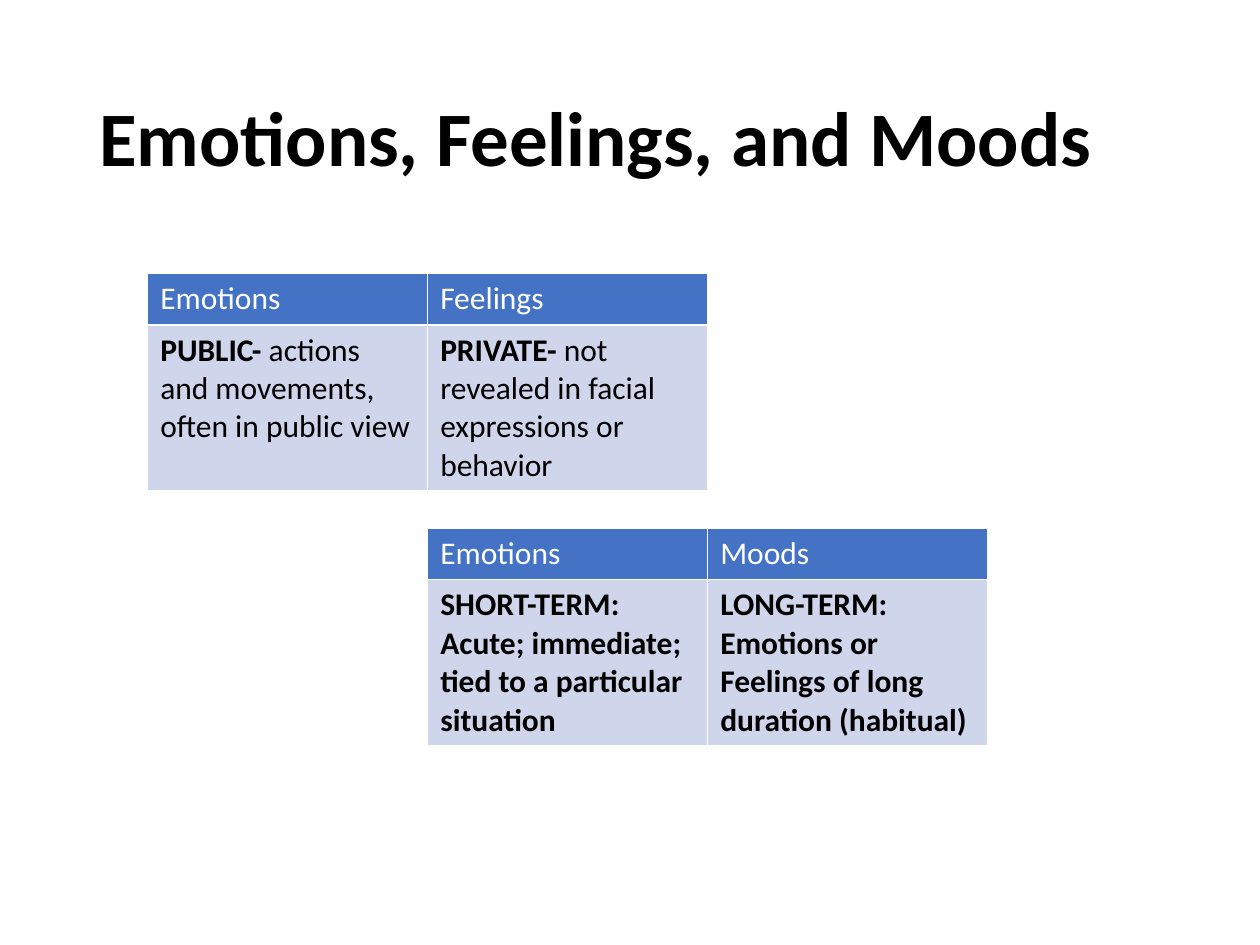
"""Build the slide that compares emotions with feelings and moods."""
from dataclasses import dataclass

from lxml import etree
from pptx import Presentation
from pptx.dml.color import RGBColor
from pptx.enum.text import MSO_ANCHOR, MSO_AUTO_SIZE, PP_ALIGN
from pptx.oxml.ns import qn
from pptx.util import Pt

LEFT = PP_ALIGN.LEFT
MIDDLE = MSO_ANCHOR.MIDDLE
NO_FIT = MSO_AUTO_SIZE.NONE
TITLE_ONLY = 5
FONT = "Calibri"
BLACK, WHITE, BLUE, PALE = "000000", "FFFFFF", "4472C4", "CFD5EA"
COLUMN_WIDTH = 160
ROW_HEIGHTS = (29.2, 94)


@dataclass(frozen=True)
class Span:
    """A stretch of text with one weight."""
    text: str
    bold: bool = False


@dataclass(frozen=True)
class Comparison:
    """A table of headings over their descriptions."""
    left: float
    top: float
    headings: tuple[str, ...]
    descriptions: tuple[tuple[Span, ...], ...]


COMPARISONS = (
    Comparison(84.4, 156.4, ("Emotions", "Feelings"), (
        (Span("PUBLIC- ", True), Span("actions and movements, often in public view")),
        (Span("PRIVATE- ", True), Span("not revealed in facial expressions or behavior")),
    )),
    Comparison(244.4, 302, ("Emotions", "Moods"), (
        (Span("SHORT-TERM: Acute; immediate; tied to a particular situation", True),),
        (Span("LONG-TERM: Emotions or Feelings of long duration (habitual)", True),),
    )),
)


def rgb(color: str) -> RGBColor:
    """Turn a hex string into a colour."""
    return RGBColor.from_string(color)


def set_values(target, values: dict) -> None:
    """Set each named attribute on the target."""
    for name, value in values.items():
        setattr(target, name, value)


def write_spans(para, spans: tuple[Span, ...], size: float, color: str) -> None:
    """Write spans into a paragraph as formatted runs."""
    for span in spans:
        run = para.add_run()
        run.text = span.text
        set_values(run.font, {"name": FONT, "size": Pt(size), "bold": span.bold})
        run.font.color.rgb = rgb(color)


def add_borders(cell, color: str, width: float) -> None:
    """Draw a solid line on all four sides of a cell."""
    properties = cell._tc.get_or_add_tcPr()
    for side in ("lnL", "lnR", "lnT", "lnB"):
        line = etree.SubElement(properties, qn(f"a:{side}"), w=str(Pt(width)))
        fill = etree.SubElement(line, qn("a:solidFill"))
        etree.SubElement(fill, qn("a:srgbClr"), val=color)


def fill_cell(cell, spans: tuple[Span, ...], color: str, background: str) -> None:
    """Format one table cell and write its text."""
    add_borders(cell, WHITE, 1)
    cell.fill.solid()
    cell.fill.fore_color.rgb = rgb(background)
    write_spans(cell.text_frame.paragraphs[0], spans, 18, color)


def add_comparison(page, comparison: Comparison) -> None:
    """Add one comparison table to the page."""
    count = len(comparison.headings)
    table = page.shapes.add_table(
        len(ROW_HEIGHTS), count, Pt(comparison.left), Pt(comparison.top),
        Pt(COLUMN_WIDTH * count), Pt(sum(ROW_HEIGHTS))).table
    for row, height in zip(table.rows, ROW_HEIGHTS):
        row.height = Pt(height)
    pairs = zip(comparison.headings, comparison.descriptions)
    for index, (heading, description) in enumerate(pairs):
        table.columns[index].width = Pt(COLUMN_WIDTH)
        fill_cell(table.cell(0, index), (Span(heading),), WHITE, BLUE)
        fill_cell(table.cell(1, index), description, BLACK, PALE)


def add_title(page, text: str) -> None:
    """Place and format the title placeholder."""
    title = page.shapes.title
    set_values(title, {"left": Pt(49.5), "top": Pt(28.75),
                       "width": Pt(621), "height": Pt(104.4)})
    set_values(title.text_frame, {"word_wrap": True, "auto_size": NO_FIT,
                                  "vertical_anchor": MIDDLE})
    para = title.text_frame.paragraphs[0]
    set_values(para, {"alignment": LEFT, "line_spacing": 0.9})
    write_spans(para, (Span(text, True),), 44, BLACK)


def main() -> None:
    """Build and save the deck."""
    deck = Presentation()
    set_values(deck, {"slide_width": Pt(720), "slide_height": Pt(540)})
    page = deck.slides.add_slide(deck.slide_layouts[TITLE_ONLY])
    add_title(page, "Emotions, Feelings, and Moods")
    for comparison in COMPARISONS:
        add_comparison(page, comparison)
    deck.save("out.pptx")


if __name__ == "__main__":
    main()
